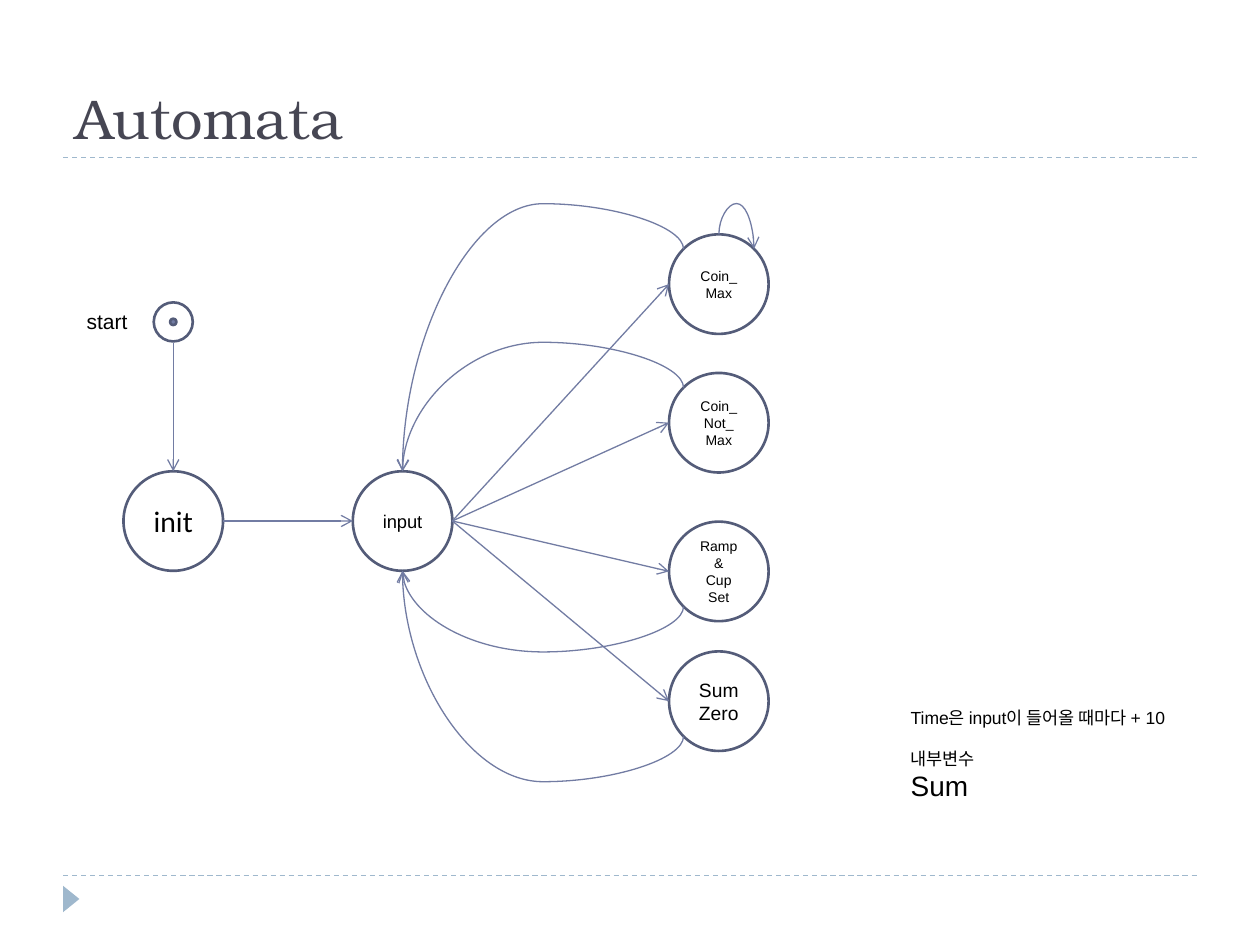
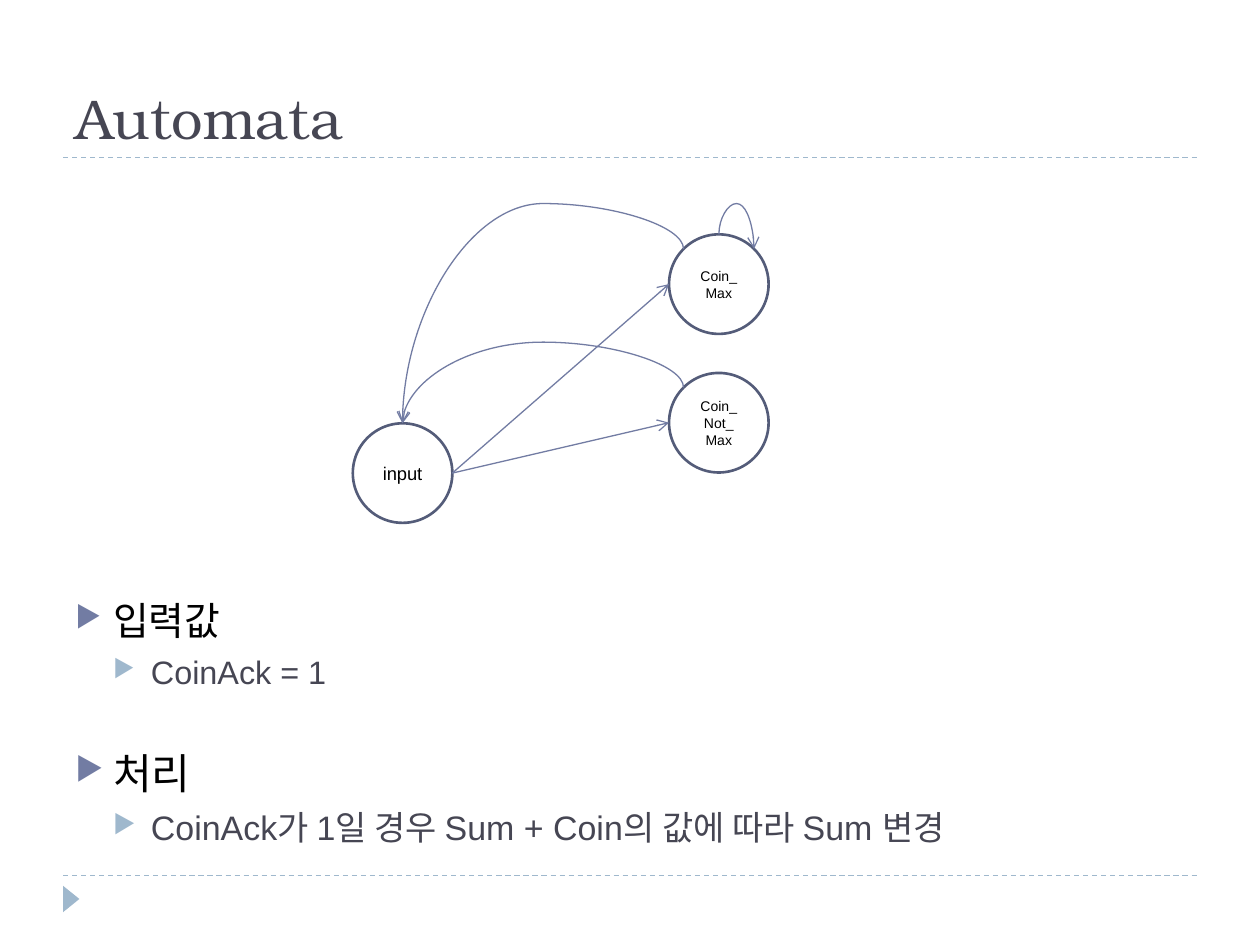
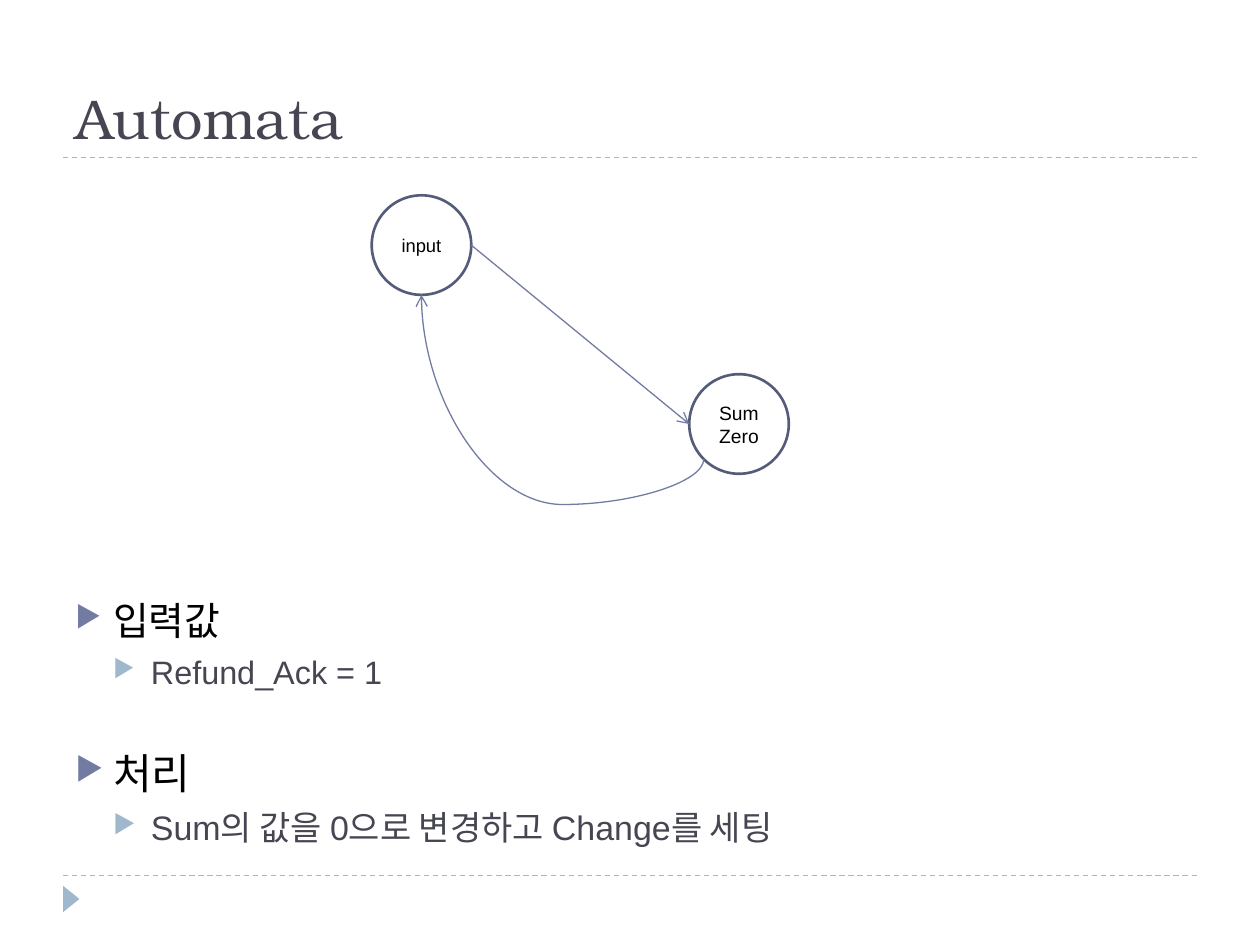
from lxml.etree import SubElement
from pptx import Presentation
from pptx.dml.color import RGBColor
from pptx.enum.dml import MSO_LINE
from pptx.enum.shapes import MSO_CONNECTOR, MSO_SHAPE
from pptx.enum.text import MSO_ANCHOR, MSO_AUTO_SIZE, PP_ALIGN
from pptx.oxml.ns import qn
from pptx.util import Inches, Pt

HUES = {"ring": "545C79", "link": "727CA3", "pale": "9FB8CD",
        "head": "464653", "text": "000000"}
RGB = {name: RGBColor.from_string(code) for name, code in HUES.items()}
SIZE = 0.79
HALF = SIZE / 2
DIAG = HALF * 0.707
BOW = 0.36

STATES = {
    "init": (["init"], 16, "Lato"),
    "input": (["input"], 10.5, "Arial"),
    "max": (["Coin_Max"], 8, "Arial"),
    "not": (["Coin_Not_", "Max"], 8, "Arial"),
    "ramp": (["Ramp &", "Cup", "Set"], 8, "Arial"),
    "zero": (["Sum", "Zero"], 11, "Arial"),
}
PAGES = [
    {"nodes": {"init": (0.98, 3.74), "input": (2.8, 3.74), "max": (5.31, 1.86),
               "not": (5.31, 2.96), "ramp": (5.31, 4.14), "zero": (5.31, 5.17)},
     "points": []},
    {"nodes": {"input": (2.8, 3.36), "max": (5.31, 1.86), "not": (5.31, 2.96)},
     "points": ["입력값", "CoinAck = 1", "처리",
                "CoinAck가 1일 경우 Sum + Coin의 값에 따라 Sum 변경"]},
    {"nodes": {"input": (2.95, 1.55), "zero": (5.47, 2.97)},
     "points": ["입력값", "Refund_Ack = 1", "처리",
                "Sum의 값을 0으로 변경하고 Change를 세팅"]},
]
POINT_STYLE = [(0, 22.2, 6), (1, 18.5, 5), (0, 24.1, 32), (1, 19.4, 5)]
NOTES = [("Time은 input이 들어올 때마다 + 10", 10, 0),
         ("내부변수", 10, 11.5), ("Sum", 16, 0)]


def ring(slide, x, y, size):
    oval = slide.shapes.add_shape(MSO_SHAPE.OVAL, Inches(x), Inches(y),
                                  Inches(size), Inches(size))
    oval.shadow.inherit = False
    oval.fill.background()
    oval.line.color.rgb = RGB["ring"]
    oval.line.width = Pt(1.5)
    return oval


def link(slide, x1, y1, x2, y2, turn=None):
    if turn is None:
        wire = slide.shapes.add_connector(MSO_CONNECTOR.STRAIGHT, Inches(x1),
                                          Inches(y1), Inches(x2), Inches(y2))
    else:
        wide, high = abs(y2 - y1), abs(x2 - x1)
        left, top = (x1 + x2 - wide) / 2, (y1 + y2 - high) / 2
        wire = slide.shapes.add_connector(
            MSO_CONNECTOR.CURVE, Inches(left), Inches(top),
            Inches(left + wide), Inches(top + high))
        up = turn < y1
        frame = wire._element.spPr.find(qn("a:xfrm"))
        frame.set("rot", str((270 if up else 90) * 60000))
        frame.set("flipH", str(int((y2 > y1) == up)))
        frame.set("flipV", str(int((x2 < x1) == up)))
        bend = round((turn - y1) / (y2 - y1) * 100000)
        SubElement(wire._element.spPr.find(".//" + qn("a:avLst")), qn("a:gd"),
                   name="adj1", fmla=f"val {bend}")
    wire.line.color.rgb = RGB["link"]
    wire.line.width = Pt(0.75)
    SubElement(wire.line._get_or_add_ln(), qn("a:tailEnd"), type="arrow")
    SubElement(wire._element.spPr, qn("a:effectLst"))


deck = Presentation()
deck.slide_width, deck.slide_height = Inches(10), Inches(7.5)
layout = deck.slide_layouts[5]

for page in PAGES:
    slide = deck.slides.add_slide(layout)

    if page is PAGES[0]:
        decor = []
        for y in (6.95, 1.25):
            rule = slide.shapes.add_connector(MSO_CONNECTOR.STRAIGHT, Inches(0.5),
                                              Inches(y), Inches(9.5), Inches(y))
            rule.line.color.rgb = RGB["pale"]
            rule.line.width = Pt(0.75)
            rule.line.dash_style = MSO_LINE.DASH
            SubElement(rule._element.spPr, qn("a:effectLst"))
            decor.append(rule)
        mark = slide.shapes.add_shape(MSO_SHAPE.ISOSCELES_TRIANGLE, Inches(0.46),
                                      Inches(7.07), Inches(0.21), Inches(0.13))
        mark.rotation = 90
        mark.shadow.inherit = False
        mark.fill.solid()
        mark.fill.fore_color.rgb = RGB["pale"]
        mark.line.fill.background()
        decor.append(mark)
        for item in decor:
            layout.shapes._spTree.append(item._element)

    title = slide.shapes.title
    title.left, title.top = Inches(0.5), Inches(0.17)
    title.width, title.height = Inches(9), Inches(1.08)
    frame = title.text_frame
    frame.text = "Automata"
    frame.auto_size = MSO_AUTO_SIZE.NONE
    frame.vertical_anchor = MSO_ANCHOR.BOTTOM
    frame.paragraphs[0].alignment = PP_ALIGN.LEFT
    font = frame.paragraphs[0].runs[0].font
    font.name, font.size = "TeX Gyre Bonum", Pt(32)
    font.color.rgb = RGB["head"]

    nodes = page["nodes"]
    for name, (x, y) in nodes.items():
        lines, size, face = STATES[name]
        frame = ring(slide, x, y, SIZE).text_frame
        frame.text = "\n".join(lines)
        frame.vertical_anchor = MSO_ANCHOR.MIDDLE
        for para in frame.paragraphs:
            para.alignment = PP_ALIGN.CENTER
            font = para.runs[0].font
            font.name, font.size = face, Pt(size)
            font.color.rgb = RGB["text"]

    hub_x, hub_y = nodes["input"]
    for name, (x, y) in nodes.items():
        if name in ("init", "input"):
            continue
        mid = y + HALF
        link(slide, hub_x + SIZE, hub_y + HALF, x, mid)
        if name in ("max", "not"):
            exit_y, turn, back = mid - DIAG, mid - DIAG - BOW, hub_y
        else:
            exit_y, turn, back = mid + DIAG, mid + DIAG + BOW, hub_y + SIZE
        link(slide, x + HALF - DIAG, exit_y, hub_x + HALF, back, turn)
        if name == "max":
            link(slide, x + HALF, y, x + HALF + DIAG, exit_y, turn)

    if "init" in nodes:
        x, y = nodes["init"]
        dot = ring(slide, 1.35, 2.53, 0.05)
        dot.fill.solid()
        dot.fill.fore_color.rgb = RGB["link"]
        ring(slide, 1.22, 2.4, 0.31)
        link(slide, x + HALF, 2.72, x + HALF, y)
        link(slide, x + SIZE, y + HALF, hub_x, hub_y + HALF)
        for left, top, wide, high, rows in (
                (0.59, 2.4, 0.54, 0.3, [("start", 12, 0)]),
                (7.13, 5.56, 2.46, 0.88, NOTES)):
            box = slide.shapes.add_textbox(Inches(left), Inches(top),
                                           Inches(wide), Inches(high))
            frame = box.text_frame
            frame.word_wrap = False
            frame.auto_size = MSO_AUTO_SIZE.SHAPE_TO_FIT_TEXT
            frame.text = "\n".join(row[0] for row in rows)
            for para, (words, size, gap) in zip(frame.paragraphs, rows):
                para.space_before = Pt(gap)
                font = para.runs[0].font
                font.name, font.size = "Arial", Pt(size)
                font.color.rgb = RGB["text"]

    if page["points"]:
        box = slide.shapes.add_textbox(Inches(0.5), Inches(4.69),
                                       Inches(9), Inches(2.04))
        frame = box.text_frame
        frame.word_wrap = True
        frame.text = "\n".join(page["points"])
        for para, (level, size, gap) in zip(frame.paragraphs, POINT_STYLE):
            para.level = level
            para.space_before = Pt(gap)
            font = para.runs[0].font
            font.name, font.size = "Arial", Pt(size)
            font.color.rgb = RGB["head" if level else "text"]
            props = para._p.get_or_add_pPr()
            props.set("marL", str(Inches(0.3 * (level + 1))))
            props.set("indent", str(Inches(-0.3)))
            tint = SubElement(props, qn("a:buClr"))
            SubElement(tint, qn("a:srgbClr"), val=HUES["pale" if level else "link"])
            SubElement(props, qn("a:buSzPct"), val="76000")
            SubElement(props, qn("a:buChar"), char="▶")

deck.save("out.pptx")
